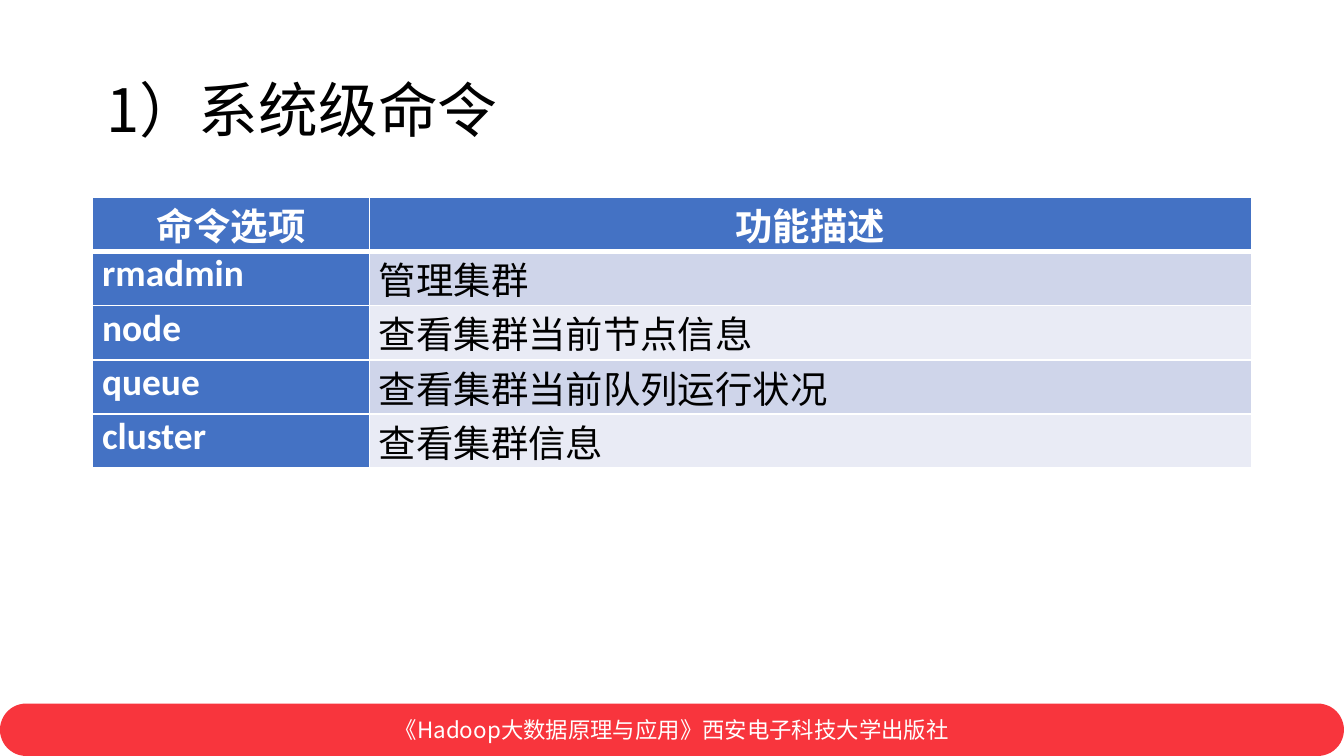
"""Build the slide listing the system-level commands."""
from pptx import Presentation
from pptx.dml.color import RGBColor
from pptx.enum.shapes import MSO_SHAPE as Shape
from pptx.enum.text import MSO_ANCHOR as Anchor, PP_ALIGN as Align
from pptx.oxml import parse_xml
from pptx.oxml.ns import nsdecls, qn
from pptx.util import Cm, Pt

TITLE = "1）系统级命令"
FOOTER = "《Hadoop大数据原理与应用》西安电子科技大学出版社"
ROWS = [
    ("命令选项", "功能描述"),
    ("rmadmin", "管理集群"),
    ("node", "查看集群当前节点信息"),
    ("queue", "查看集群当前队列运行状况"),
    ("cluster", "查看集群信息"),
]
WIDTHS = (5.23, 16.67)
LEFT, WIDTH, ROW_H = 1.75, 21.9, 0.85
SANS, LATIN = "Noto Sans CJK SC", "Calibri"
RED = RGBColor(0xF8, 0x35, 0x3D)
BLUE = RGBColor(0x44, 0x72, 0xC4)
BANDS = (RGBColor(0xE9, 0xEB, 0xF5), RGBColor(0xCF, 0xD5, 0xEA))
WHITE = RGBColor(0xFF, 0xFF, 0xFF)
BLACK = RGBColor(0, 0, 0)


def style(para, size, color, name, align, bold=False):
    para.alignment = align
    font = para.font
    font.size, font.bold, font.name = Pt(size), bold, name
    font.color.rgb = color
    base = para._p.pPr.find(qn("a:defRPr"))
    base.append(parse_xml(f'<a:ea {nsdecls("a")} typeface="{SANS}"/>'))


def border(cell, row):
    props = cell._tc.get_or_add_tcPr()
    thick = {"T": 3 if row == 1 else 1, "B": 3 if row == 0 else 1}
    for side in "LRTB":
        width = Pt(thick.get(side, 1))
        props.append(parse_xml(
            f'<a:ln{side} {nsdecls("a")} w="{width}"><a:solidFill>'
            f'<a:srgbClr val="{WHITE}"/></a:solidFill></a:ln{side}>'))


def add_footer(slide):
    bar = slide.shapes.add_shape(
        Shape.ROUNDED_RECTANGLE, 0, Cm(13.29), Cm(25.4), Cm(0.99))
    bar.adjustments[0] = 0.5
    bar.shadow.inherit = False
    bar.fill.solid()
    bar.fill.fore_color.rgb = RED
    bar.line.fill.background()
    frame = bar.text_frame
    frame.text = FOOTER
    frame.vertical_anchor = Anchor.MIDDLE
    style(frame.paragraphs[0], 12, WHITE, SANS, Align.CENTER)


def add_title(slide):
    title = slide.shapes.title
    title.left, title.top = Cm(LEFT), Cm(0.76)
    title.width, title.height = Cm(WIDTH), Cm(2.77)
    frame = title.text_frame
    frame.text = TITLE
    frame.vertical_anchor = Anchor.MIDDLE
    para = frame.paragraphs[0]
    para.line_spacing = 0.9
    style(para, 32, BLACK, SANS, Align.LEFT)


def add_grid(slide):
    grid = slide.shapes.add_table(
        len(ROWS), len(WIDTHS), Cm(LEFT), Cm(3.72),
        Cm(WIDTH), Cm(ROW_H * len(ROWS))).table
    grid.first_col = True
    for col, width in zip(grid.columns, WIDTHS):
        col.width = Cm(width)
    for r, texts in enumerate(ROWS):
        for c, text in enumerate(texts):
            cell = grid.cell(r, c)
            head = r == 0 or c == 0
            border(cell, r)
            cell.fill.solid()
            cell.fill.fore_color.rgb = BLUE if head else BANDS[r % 2]
            cell.margin_left = cell.margin_right = Cm(0.18)
            cell.margin_top = cell.margin_bottom = 0
            cell.text = text
            style(cell.text_frame.paragraphs[0], 20,
                  WHITE if head else BLACK, LATIN,
                  Align.CENTER if r == 0 else Align.LEFT, head)


def main():
    deck = Presentation()
    deck.slide_width, deck.slide_height = Cm(25.4), Cm(14.28)
    slide = deck.slides.add_slide(deck.slide_layouts[5])
    add_footer(slide)
    add_title(slide)
    add_grid(slide)
    deck.save("out.pptx")


if __name__ == "__main__":
    main()
